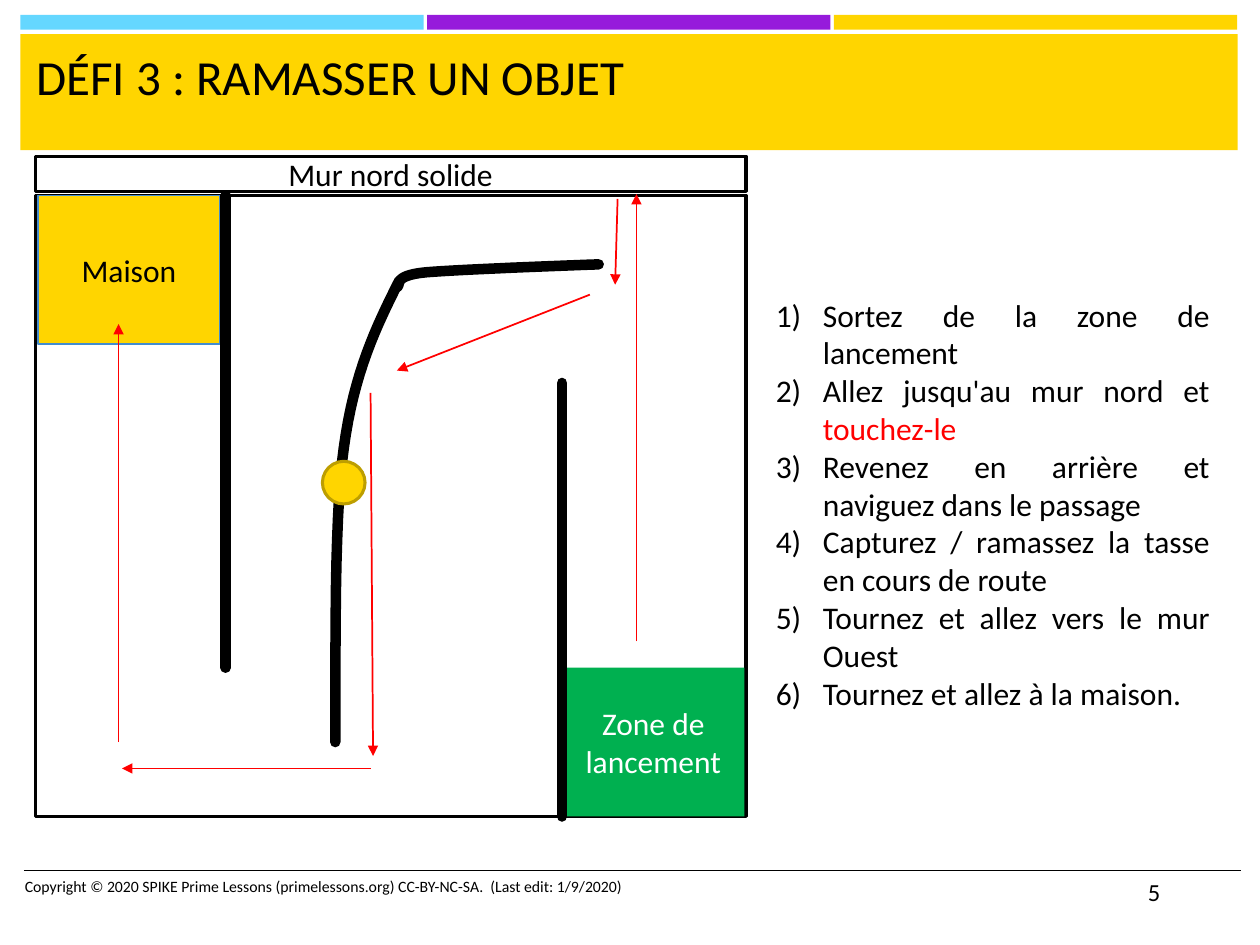
import pptx
import pptx.dml.color
import pptx.enum.shapes
import pptx.enum.text
import pptx.oxml
import pptx.oxml.ns
import pptx.util
from lxml import etree

Cm = pptx.util.Cm
Pt = pptx.util.Pt
SHAPE = pptx.enum.shapes.MSO_SHAPE
ALIGN = pptx.enum.text.PP_ALIGN
ANCHOR = pptx.enum.text.MSO_ANCHOR

COLORS = {
    "black": "000000", "white": "FFFFFF", "red": "FF0000",
    "yellow": "FFD500", "cyan": "65D7FF", "purple": "961BDB",
    "green": "00B050", "blue": "438CCF", "gold": "BD9E00",
}
FONT = "Calibri"
STEPS = [
    [("Sortez de la zone de lancement", "black")],
    [("Allez jusqu'au mur nord et ", "black"), ("touchez-le", "red")],
    [("Revenez en arrière et naviguez dans le passage", "black")],
    [("Capturez / ramassez la tasse en cours de route", "black")],
    [("Tournez et allez vers le mur Ouest", "black")],
    [("Tournez et allez à la maison.", "black")],
]
# Route of the robot, in centimetres: from, to
ROUTE = [
    ((12.83, 12.93), (12.83, 3.91)),
    ((12.45, 4.01), (12.4, 5.74)),
    ((11.89, 5.94), (8, 7.47)),
    ((7.47, 7.92), (7.52, 15.24)),
    ((7.47, 15.49), (2.46, 15.49)),
    ((2.39, 14.96), (2.39, 6.53)),
]
STRAIGHT_WALLS = [
    ((4.55, 13.46), (4.55, 3.94)),
    ((11.33, 16.46), (11.33, 7.72)),
]
# Each curved wall is a chain of Bézier points
CURVED_WALLS = [
    [(8.05, 5.66), (7.59, 6.58), (7.14, 7.49), (6.93, 9.04),
     (6.71, 10.59), (6.78, 13.92), (6.76, 14.96)],
    [(12.07, 5.33), (10.67, 5.38), (9.25, 5.44), (8.59, 5.49),
     (7.9, 5.56), (8.1, 5.74), (8, 5.79)],
]


def rgb(name):
    return pptx.dml.color.RGBColor.from_string(COLORS[name])


def add_span(para, text, size, color):
    span = para.add_run()
    span.text = text
    span.font.name = FONT
    span.font.size = Pt(size)
    span.font.color.rgb = rgb(color)


def add_block(page, bounds, fill, line=None, weight=1, kind=SHAPE.RECTANGLE):
    block = page.shapes.add_shape(kind, *map(Cm, bounds))
    block.shadow.inherit = False
    block.fill.solid()
    block.fill.fore_color.rgb = rgb(fill)
    if line:
        block.line.color.rgb = rgb(line)
        block.line.width = Pt(weight)
    else:
        block.line.fill.background()
    return block


def add_label(block, text, color="black"):
    frame = block.text_frame
    frame.word_wrap = True
    frame.vertical_anchor = ANCHOR.MIDDLE
    para = frame.paragraphs[0]
    para.alignment = ALIGN.CENTER
    add_span(para, text, 18, color)


def add_text(page, bounds, text, size):
    box = page.shapes.add_textbox(*map(Cm, bounds))
    box.text_frame.word_wrap = True
    add_span(box.text_frame.paragraphs[0], text, size, "black")


def add_title(page, text):
    title = page.shapes.title
    title.left, title.top, title.width, title.height = map(Cm, (0.48, 0.81, 24.31, 2.08))
    title.text_frame.vertical_anchor = ANCHOR.TOP
    para = title.text_frame.paragraphs[0]
    para.alignment = ALIGN.LEFT
    add_span(para, text, 28, "black")
    # Bring the title in front of the band drawn behind it
    page.shapes._spTree.append(title._element)


def add_line(page, start, end, color, weight, arrow=False, rounded=False):
    line = page.shapes.add_connector(
        pptx.enum.shapes.MSO_CONNECTOR.STRAIGHT, *map(Cm, start + end))
    line.line.color.rgb = rgb(color)
    line.line.width = Pt(weight)
    stroke = line.line._get_or_add_ln()
    if rounded:
        stroke.set("cap", "rnd")
    if arrow:
        etree.SubElement(stroke, pptx.oxml.ns.qn("a:tailEnd"), type="triangle")
    etree.SubElement(line._element.spPr, pptx.oxml.ns.qn("a:effectLst"))


def bezier(points, count=16):
    """Return the points along a chain of cubic curves, without the start."""
    result = []
    for first in range(0, len(points) - 1, 3):
        a, b, c, d = points[first:first + 4]
        for step in range(1, count + 1):
            t = step / count
            weights = ((1 - t) ** 3, 3 * t * (1 - t) ** 2, 3 * t * t * (1 - t), t ** 3)
            result.append(tuple(
                sum(w * p[axis] for w, p in zip(weights, (a, b, c, d)))
                for axis in (0, 1)))
    return result


def add_curved_wall(page, points):
    builder = page.shapes.build_freeform(Cm(points[0][0]), Cm(points[0][1]))
    builder.add_line_segments([(Cm(x), Cm(y)) for x, y in bezier(points)], close=False)
    wall = builder.convert_to_shape()
    wall.shadow.inherit = False
    wall.fill.background()
    wall.line.color.rgb = rgb("black")
    wall.line.width = Pt(6)
    wall.line._get_or_add_ln().set("cap", "rnd")


def add_steps(page):
    frame = add_block(page, (15.39, 3.89, 9.25, 12.52), "white").text_frame
    frame.word_wrap = True
    frame.vertical_anchor = ANCHOR.MIDDLE
    for index, step in enumerate(STEPS):
        para = frame.add_paragraph() if index else frame.paragraphs[0]
        para.alignment = ALIGN.JUSTIFY
        properties = para._p.get_or_add_pPr()
        properties.set("marL", str(Cm(0.95)))
        properties.set("indent", str(-Cm(0.95)))
        etree.SubElement(properties, pptx.oxml.ns.qn("a:buFont"), typeface="+mj-lt")
        etree.SubElement(properties, pptx.oxml.ns.qn("a:buAutoNum"), type="arabicParenR")
        for text, color in step:
            add_span(para, text, 18, color)


def add_frame(page):
    """Draw the coloured bands, the title and the footer."""
    for column, color in enumerate(("cyan", "purple", "yellow")):
        add_block(page, (0.41 + 8.2 * column, 0.3, 8.13, 0.3), color)
    add_block(page, (0.41, 0.69, 24.54, 2.34), "yellow")
    add_line(page, (0.48, 17.55), (25.02, 17.55), "black", 1)
    add_title(page, "DÉFI 3 : RAMASSER UN OBJET")
    add_text(page, (0.25, 17.55, 13.54, 1.02),
             "Copyright © 2020 SPIKE Prime Lessons (primelessons.org) CC-BY-NC-SA.  "
             "(Last edit: 1/9/2020)", 9)
    add_text(page, (22.89, 17.55, 2.13, 1.02), "5", 14)


def add_board(page):
    add_block(page, (0.71, 3.94, 14.33, 12.52), "white", "black", 1.75)
    north_wall = add_block(page, (0.71, 3.15, 14.33, 0.71), "white", "black", 1.75)
    add_label(north_wall, "Mur nord solide")
    launch = add_block(page, (11.33, 13.46, 3.68, 3), "green")
    add_label(launch, "Zone de lancement", "white")
    home = add_block(page, (0.76, 3.94, 3.68, 3), "yellow", "blue")
    add_label(home, "Maison")
    for start, end in STRAIGHT_WALLS:
        add_line(page, start, end, "black", 6, rounded=True)
    for points in CURVED_WALLS:
        add_curved_wall(page, points)
    for start, end in ROUTE:
        add_line(page, start, end, "red", 1, arrow=True)
    add_block(page, (6.5, 9.3, 0.86, 0.86), "yellow", "gold", 1.75, SHAPE.OVAL)


def main():
    deck = pptx.Presentation()
    deck.slide_width, deck.slide_height = Cm(25.4), Cm(19.05)
    page = deck.slides.add_slide(deck.slide_layouts.get_by_name("Title Only"))
    add_frame(page)
    add_board(page)
    add_steps(page)
    deck.save("out.pptx")


if __name__ == "__main__":
    main()
